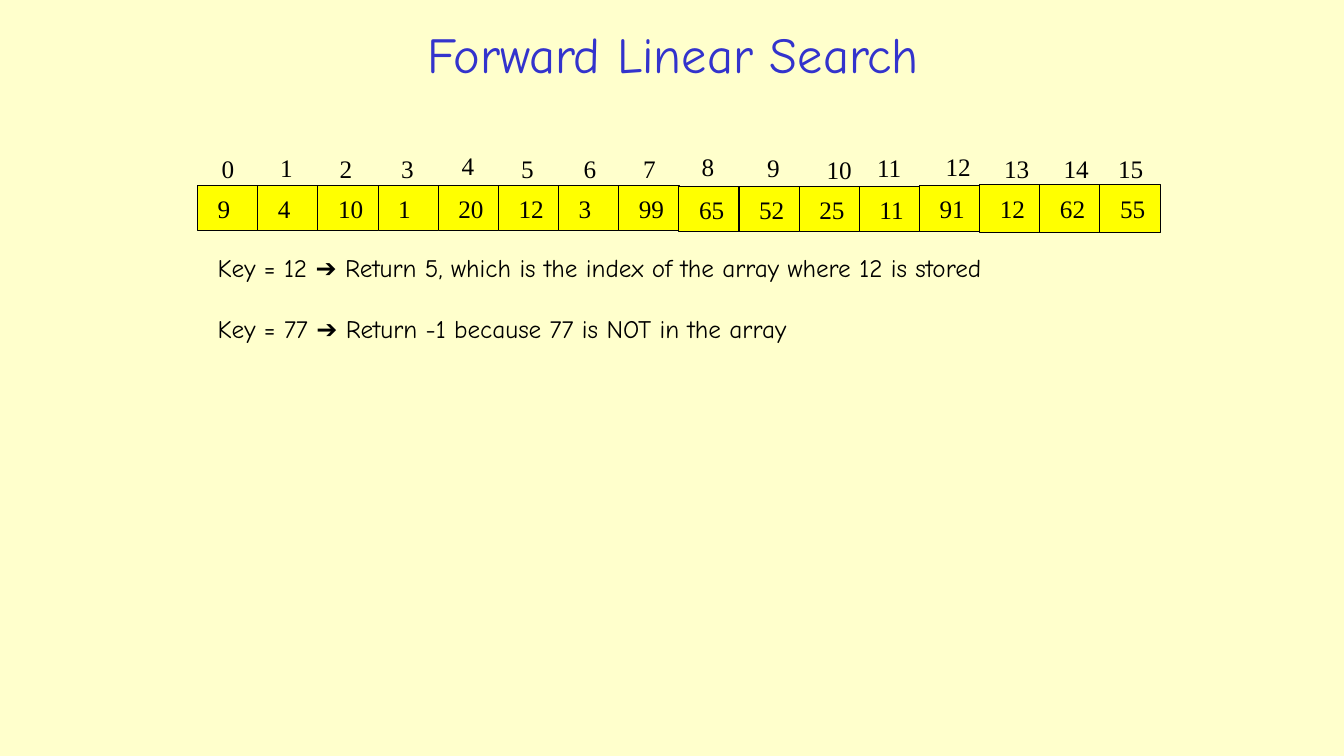
import pptx
import pptx.dml.color
import pptx.enum.shapes
import pptx.enum.text
import pptx.util

Inches = pptx.util.Inches
Pt = pptx.util.Pt
Anchor = pptx.enum.text.MSO_ANCHOR
Align = pptx.enum.text.PP_ALIGN
AutoSize = pptx.enum.text.MSO_AUTO_SIZE


def colour(hex_value):
    return pptx.dml.color.RGBColor.from_string(hex_value)


def write(box, text, font_name, size=18, hex_value="000000", align=Align.LEFT):
    """Set the text of a shape as one formatted paragraph."""
    box.text_frame.text = text
    para = box.text_frame.paragraphs[0]
    para.alignment = align
    font = para.runs[0].font
    font.name = font_name
    font.size = Pt(size)
    font.color.rgb = colour(hex_value)


deck = pptx.Presentation()
deck.slide_width = Inches(13.33)
deck.slide_height = Inches(7.5)
page = deck.slides.add_slide(deck.slide_layouts[5])
page.background.fill.solid()
page.background.fill.fore_color.rgb = colour("FFFFCC")

title = page.shapes.title
title.left, title.top = Inches(1.84), Inches(0.15)
title.width, title.height = Inches(9.67), Inches(0.76)
write(title, "Forward Linear Search", "Comic Neue", 36, "3333CC", Align.CENTER)
title.text_frame.vertical_anchor = Anchor.MIDDLE
title.text_frame.auto_size = AutoSize.NONE

# Array cells, evenly spaced, with slightly different heights by group
values = [9, 4, 10, 1, 20, 12, 3, 99, 65, 52, 25, 11, 91, 12, 62, 55]
array_left = 1.96
pitch = 8.95 / 15
cell_rows = [(1.84, 0.45)] * 8 + [(1.85, 0.45)] * 4 + [(1.84, 0.46)] + [(1.83, 0.48)] * 3
for index, (value, (top, height)) in enumerate(zip(values, cell_rows)):
    cell = page.shapes.add_shape(
        pptx.enum.shapes.MSO_SHAPE.RECTANGLE,
        Inches(array_left + index * pitch), Inches(top), Inches(0.6), Inches(height))
    cell.shadow.inherit = False
    cell.fill.solid()
    cell.fill.fore_color.rgb = colour("FFFF00")
    cell.line.color.rgb = colour("000000")
    cell.line.width = Pt(0.75)
    write(cell, str(value), "Times New Roman")
    cell.text_frame.margin_left = Inches(0.2)
    cell.text_frame.margin_right = 0
    cell.text_frame.vertical_anchor = Anchor.MIDDLE

# Index labels, placed by hand above the cells
label_lefts = [2.1, 2.68, 3.27, 3.88, 4.48, 5.07, 5.69, 6.28,
               6.86, 7.51, 8.1, 8.6, 9.28, 9.86, 10.45, 10.99]
label_tops = {1: 1.46, 4: 1.44, 8: 1.45, 9: 1.46, 10: 1.48, 11: 1.46, 12: 1.45}
for index, left in enumerate(label_lefts):
    label = page.shapes.add_textbox(
        Inches(left), Inches(label_tops.get(index, 1.47)),
        Inches(0.33 if index < 10 else 0.45), Inches(0.4))
    write(label, str(index), "Times New Roman")
    label.text_frame.word_wrap = False
    label.text_frame.auto_size = AutoSize.SHAPE_TO_FIT_TEXT

examples = [
    (2.45, 9.16, "Key = 12 ➔ Return 5, which is the index of the array where 12 is stored"),
    (3.06, 8.36, "Key = 77 ➔ Return -1 because 77 is NOT in the array"),
]
for top, width, text in examples:
    example = page.shapes.add_textbox(Inches(2.06), Inches(top), Inches(width), Inches(0.4))
    write(example, text, "Comic Neue")
    example.text_frame.word_wrap = True
    example.text_frame.auto_size = AutoSize.SHAPE_TO_FIT_TEXT

deck.save("out.pptx")
